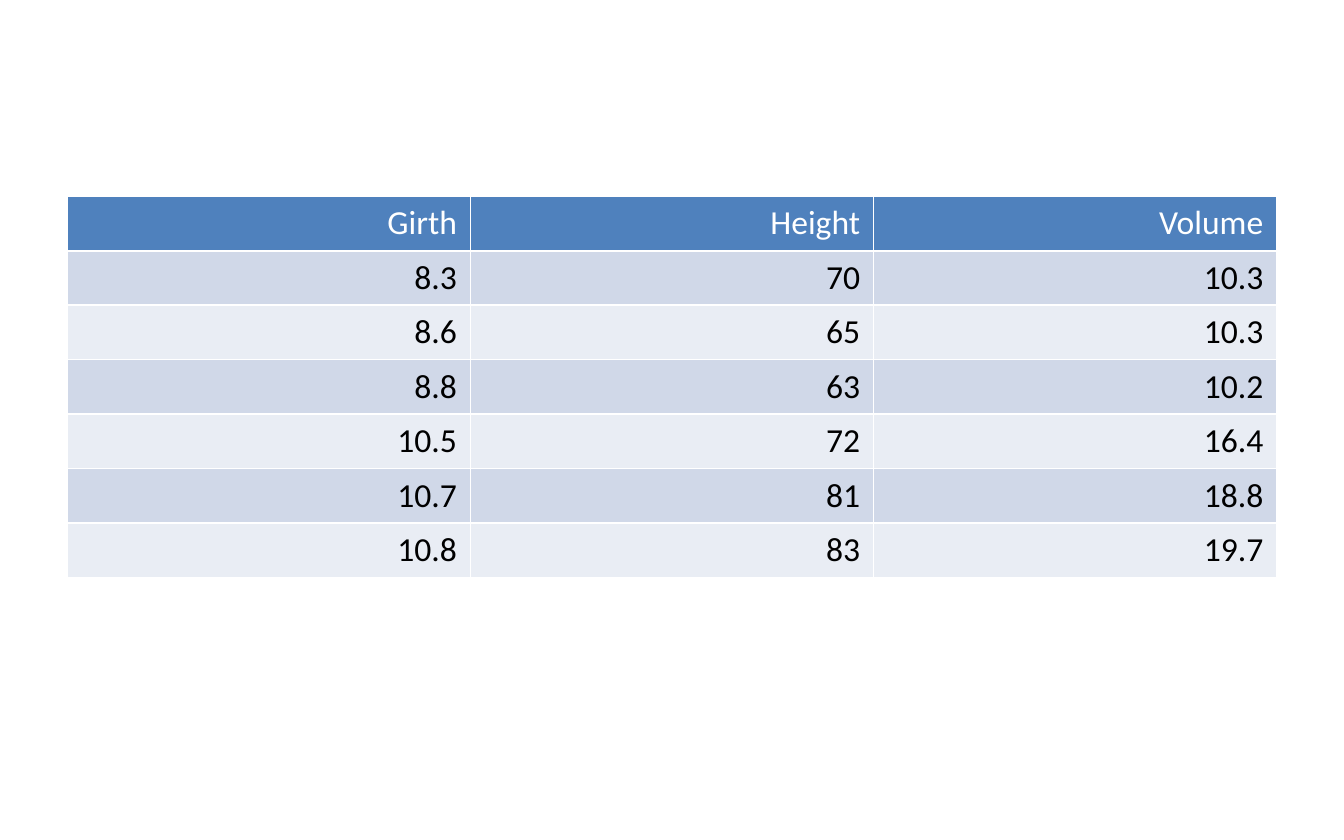
from pptx import Presentation
from pptx.dml.color import RGBColor
from pptx.enum.text import PP_ALIGN
from pptx.util import Cm, Pt

RIGHT = PP_ALIGN.RIGHT
WHITE = RGBColor(0xFF, 0xFF, 0xFF)
BLACK = RGBColor(0x00, 0x00, 0x00)
HEADER_BLUE = RGBColor(0x4F, 0x81, 0xBD)
BAND_DARK = RGBColor(0xD0, 0xD8, 0xE8)
BAND_LIGHT = RGBColor(0xE9, 0xED, 0xF4)

MEASUREMENTS = [
    ("Girth", "Height", "Volume"),
    ("8.3", "70", "10.3"),
    ("8.6", "65", "10.3"),
    ("8.8", "63", "10.2"),
    ("10.5", "72", "16.4"),
    ("10.7", "81", "18.8"),
    ("10.8", "83", "19.7"),
]


def fill_cell(cell, value, background, ink):
    cell.fill.solid()
    cell.fill.fore_color.rgb = background
    paragraph = cell.text_frame.paragraphs[0]
    paragraph.text = value
    paragraph.alignment = RIGHT
    font = paragraph.runs[0].font
    font.name = "Calibri"
    font.size = Pt(18)
    font.bold = False
    font.color.rgb = ink


def add_tree_table(slide, left, top, width, height):
    trees = slide.shapes.add_table(
        len(MEASUREMENTS), len(MEASUREMENTS[0]), left, top, width, height
    ).table
    for row, values in enumerate(MEASUREMENTS):
        if row == 0:
            background, ink = HEADER_BLUE, WHITE
        else:
            background, ink = (BAND_DARK if row % 2 else BAND_LIGHT), BLACK
        for column, value in enumerate(values):
            fill_cell(trees.cell(row, column), value, background, ink)


def main():
    presentation = Presentation()
    presentation.slide_width = Cm(25.4)
    presentation.slide_height = Cm(15.88)
    slide = presentation.slides.add_slide(presentation.slide_layouts[6])
    add_tree_table(slide, Cm(1.27), Cm(3.71), Cm(22.86), Cm(7.2))
    presentation.save("out.pptx")


if __name__ == "__main__":
    main()
